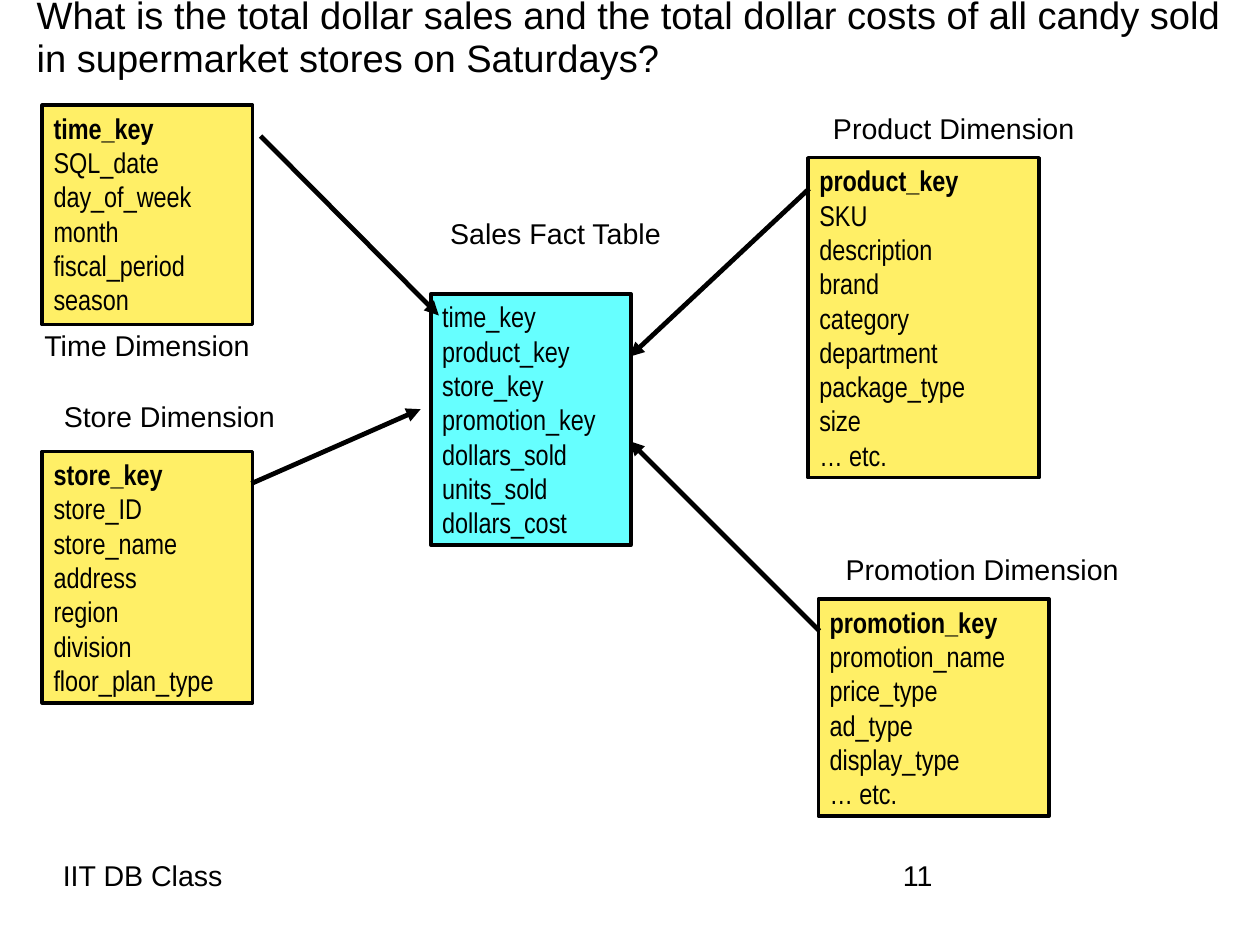
from lxml import etree
from pptx import Presentation
from pptx import util as u
from pptx.dml.color import RGBColor
from pptx.enum import shapes, text
from pptx.oxml import ns

COLORS = {"ink": "000000", "dimension": "FFEF66", "fact": "66FFFF"}
LABEL_FONT, FIELD_FONT = "Arial", "Arial Narrow"

# caption, caption box, table box, key, other fields
DIMENSIONS = [
    ("Time Dimension", (0.29, 2.82, 2.86, 0.41), (0.37, 0.92, 1.84, 1.92), "time_key",
     ["SQL_date", "day_of_week", "month", "fiscal_period", "season"]),
    ("Store Dimension", (0.46, 3.44, 2.56, 0.41), (0.37, 3.95, 1.84, 2.2), "store_key",
     ["store_ID", "store_name", "address", "region", "division", "floor_plan_type"]),
    ("Product Dimension", (7.19, 0.92, 2.86, 0.41), (7.07, 1.38, 2.02, 2.8), "product_key",
     ["SKU", "description", "brand", "category", "department", "package_type", "size",
      "… etc."]),
    ("Promotion Dimension", (7.3, 4.78, 3.05, 0.41), (7.16, 5.24, 2.02, 1.9),
     "promotion_key",
     ["promotion_name", "price_type", "ad_type", "display_type", "… etc."]),
]
FACT_FIELDS = ["time_key", "product_key", "store_key", "promotion_key",
               "dollars_sold", "units_sold", "dollars_cost"]
KEY_LINKS = [
    ((2.2, 4.23), (3.68, 3.58)),
    ((2.28, 1.19), (3.84, 2.76)),
    ((7.08, 1.65), (5.51, 3.12)),
    ((7.17, 5.52), (5.51, 3.86)),
]


def inches(values):
    return [u.Inches(value) for value in values]


def color(name):
    return RGBColor.from_string(COLORS[name])


def set_frame(frame, insets=(0.1, 0.05, 0.1, 0.05), fit=text.MSO_AUTO_SIZE.NONE):
    left, top, right, bottom = inches(insets)
    settings = {"word_wrap": True, "auto_size": fit,
                "vertical_anchor": text.MSO_ANCHOR.TOP,
                "margin_left": left, "margin_top": top,
                "margin_right": right, "margin_bottom": bottom}
    for name, value in settings.items():
        setattr(frame, name, value)


def add_words(paragraph, words, font=LABEL_FONT, size=18, bold=False):
    run = paragraph.add_run()
    run.text = words
    for name, value in {"name": font, "size": u.Pt(size), "bold": bold}.items():
        setattr(run.font, name, value)
    run.font.color.rgb = color("ink")


def add_title(slide, box, words):
    title = slide.shapes.title
    title.left, title.top, title.width, title.height = inches(box)
    set_frame(title.text_frame, (0, 0.02, 0, 0))
    paragraph = title.text_frame.paragraphs[0]
    paragraph.alignment = text.PP_ALIGN.LEFT
    paragraph.line_spacing = 0.93
    add_words(paragraph, words, size=24)


def add_label(slide, box, words, **frame_format):
    frame = slide.shapes.add_textbox(*inches(box)).text_frame
    set_frame(frame, **frame_format)
    add_words(frame.paragraphs[0], words)
    return frame.paragraphs[0]


def add_footer(slide, box, words):
    add_label(slide, box, words, insets=(0, 0, 0, 0)).line_spacing = 0.93


def add_schema_table(slide, box, fill, fields, key=None):
    """Draw a box of field names, with its key in bold on top."""
    table = slide.shapes.add_shape(shapes.MSO_SHAPE.RECTANGLE, *inches(box))
    table.shadow.inherit = False
    table.fill.solid()
    table.fill.fore_color.rgb = color(fill)
    table.line.color.rgb = color("ink")
    table.line.width = u.Pt(2.25)
    set_frame(table.text_frame, fit=text.MSO_AUTO_SIZE.SHAPE_TO_FIT_TEXT)
    paragraph = table.text_frame.paragraphs[0]
    paragraph.alignment = text.PP_ALIGN.LEFT
    if key:
        add_words(paragraph, key, FIELD_FONT, bold=True)
        paragraph.add_line_break()
    for position, field in enumerate(fields):
        if position:
            paragraph.add_line_break()
        add_words(paragraph, field, FIELD_FONT)


def add_key_link(slide, start, end):
    link = slide.shapes.add_connector(shapes.MSO_CONNECTOR.STRAIGHT,
                                      *inches(start + end))
    link.line.color.rgb = color("ink")
    link.line.width = u.Pt(3)
    etree.SubElement(link.line._get_or_add_ln(), ns.qn("a:tailEnd"), type="triangle")
    etree.SubElement(link._element.spPr, ns.qn("a:effectLst"))


def add_star_schema(slide):
    grow = text.MSO_AUTO_SIZE.SHAPE_TO_FIT_TEXT
    for caption, caption_box, table_box, key, fields in DIMENSIONS:
        add_schema_table(slide, table_box, "dimension", fields, key)
        add_label(slide, caption_box, caption, fit=grow)
    add_schema_table(slide, (3.77, 2.57, 1.75, 2.2), "fact", FACT_FIELDS)
    add_label(slide, (3.84, 1.84, 2.56, 0.41), "Sales Fact Table", fit=grow)
    for start, end in KEY_LINKS:
        add_key_link(slide, start, end)


def main():
    deck = Presentation()
    deck.slide_width = u.Emu(10080625)
    deck.slide_height = u.Emu(7559675)
    slide = deck.slides.add_slide(deck.slide_layouts.get_by_name("Title Only"))
    add_title(slide, (0.32, -0.06, 10.39, 0.84),
              "What is the total dollar sales and the total dollar costs of all candy "
              "sold in supermarket stores on Saturdays?")
    add_star_schema(slide)
    add_footer(slide, (0.55, 7.53, 2.56, 0.57), "IIT DB Class")
    add_footer(slide, (7.9, 7.53, 2.56, 0.57), "11")
    deck.save("out.pptx")


if __name__ == "__main__":
    main()
